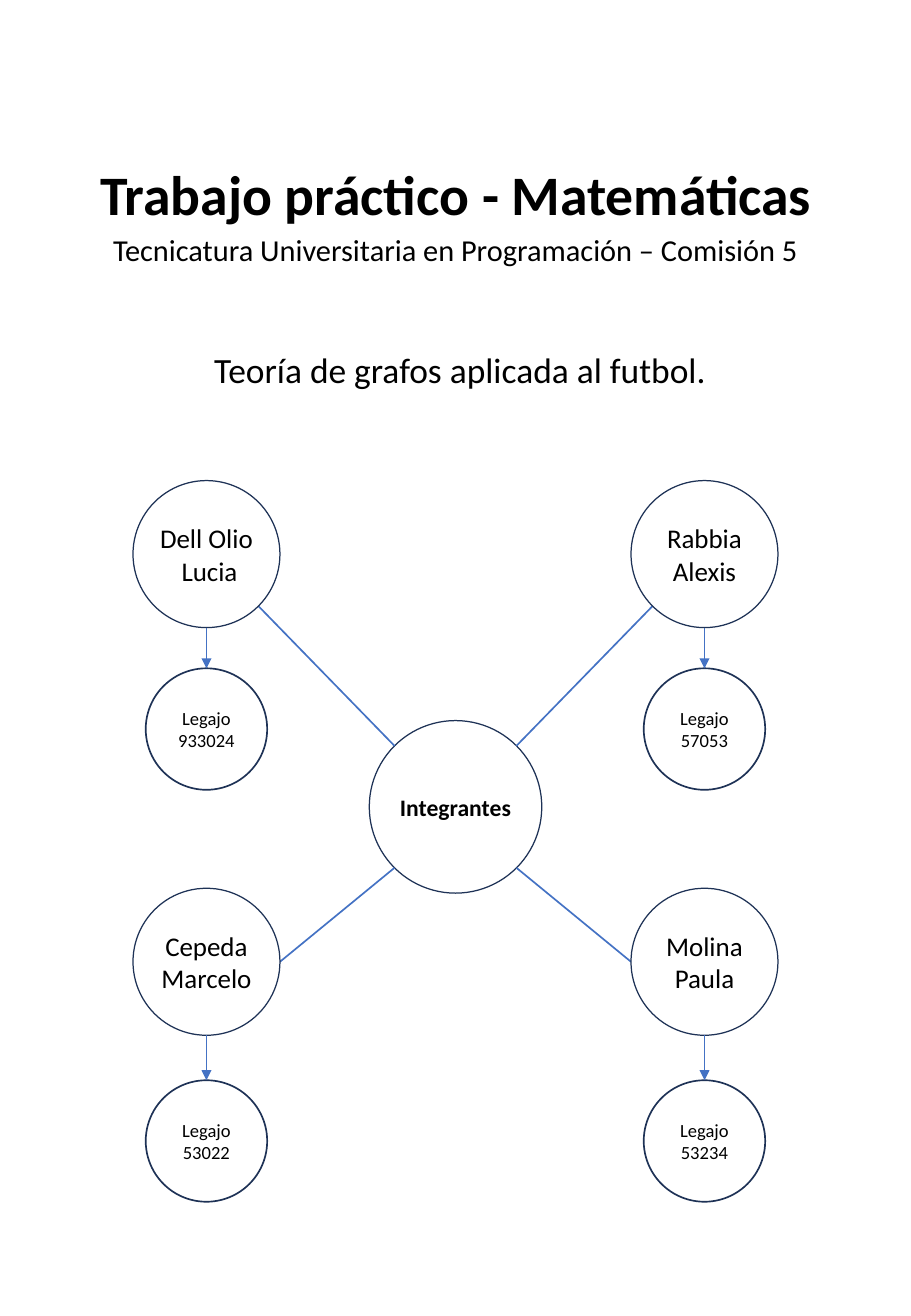
import math
import pptx
import pptx.util
import pptx.dml.color
import pptx.enum.shapes
import pptx.enum.text
import pptx.oxml.ns
from lxml import etree

Inches = pptx.util.Inches
Pt = pptx.util.Pt
RGBColor = pptx.dml.color.RGBColor
ANCHOR = pptx.enum.text.MSO_ANCHOR
qn = pptx.oxml.ns.qn

BLACK = RGBColor(0x00, 0x00, 0x00)
WHITE = RGBColor(0xFF, 0xFF, 0xFF)
NAVY = RGBColor(0x1E, 0x32, 0x56)
BLUE = RGBColor(0x44, 0x72, 0xC4)
FONT = "Calibri"

TITLE = "Trabajo práctico - Matemáticas"
COURSE = "Tecnicatura Universitaria en Programación – Comisión 5"
TOPIC = " Teoría de grafos aplicada al futbol."
HUB = "Integrantes"
MEMBERS = [
    (("Dell Olio", " Lucia"), "933024", "left", "upper"),
    (("Rabbia", "Alexis"), "57053", "right", "upper"),
    (("Cepeda", "Marcelo"), "53022", "left", "lower"),
    (("Molina", "Paula"), "53234", "right", "lower"),
]

HUB_X, HUB_Y, HUB_R = 3.75, 6.64, 0.71
MEMBER_R, RECORD_R = 0.605, 0.5
SIDES = {"left": -1, "right": 1}
SIDE_GAP = 2.05
ROWS = {"upper": (4.56, 6.0), "lower": (7.915, 9.39)}
DIAGONAL = math.sqrt(0.5)

deck = pptx.Presentation()
deck.slide_width, deck.slide_height = Inches(7.5), Inches(10.83)
cover = deck.slides.add_slide(deck.slide_layouts[6])


def write(frame, lines, size, bold=False, anchor=ANCHOR.MIDDLE):
    frame.word_wrap = True
    frame.vertical_anchor = anchor
    paragraph = frame.paragraphs[0]
    paragraph.alignment = pptx.enum.text.PP_ALIGN.CENTER
    for number, line in enumerate(lines):
        if number:
            paragraph.add_line_break()
        run = paragraph.add_run()
        run.text = line
        run.font.name, run.font.size, run.font.bold = FONT, Pt(size), bold
        run.font.color.rgb = BLACK
    return paragraph


def heading(text, box, size, bold=False, anchor=ANCHOR.TOP):
    area = cover.shapes.add_textbox(*map(Inches, box))
    return write(area.text_frame, [text], size, bold, anchor)


def circle(x, y, radius, lines, size, weight, inset, bold=False):
    node = cover.shapes.add_shape(
        pptx.enum.shapes.MSO_SHAPE.OVAL,
        *map(Inches, (x - radius, y - radius, 2 * radius, 2 * radius)))
    node.shadow.inherit = False
    node.fill.solid()
    node.fill.fore_color.rgb = WHITE
    node.line.color.rgb = NAVY
    node.line.width = Pt(weight)
    frame = node.text_frame
    frame.margin_left = frame.margin_right = Inches(inset)
    frame.margin_top = frame.margin_bottom = Inches(min(inset, 0.05))
    write(frame, lines, size, bold)
    return node


def edge(start, end, weight):
    link = cover.shapes.add_connector(
        pptx.enum.shapes.MSO_CONNECTOR.STRAIGHT, *map(Inches, start + end))
    link.line.color.rgb = BLUE
    link.line.width = Pt(weight)
    etree.SubElement(link._element.spPr, qn("a:effectLst"))
    return link


title = heading(TITLE, (0.52, 0.58, 6.47, 2.09), 33, True, ANCHOR.MIDDLE)
title.line_spacing = 0.9
topic = heading(TOPIC, (0.52, 2.88, 6.47, 0.41), 21)
topic.line_spacing = 0.8
topic.space_before = Pt(7.5)
heading(COURSE, (0.8, 1.85, 5.9, 0.4), 18)

circle(HUB_X, HUB_Y, HUB_R, [HUB], 14, 0.75, 0.04, True)

for name, record, side, row in MEMBERS:
    direction = SIDES[side]
    x = HUB_X + direction * SIDE_GAP
    member_y, record_y = ROWS[row]
    hub_reach, member_reach = HUB_R * DIAGONAL, MEMBER_R * DIAGONAL
    if row == "upper":
        hub_end = (HUB_X + direction * hub_reach, HUB_Y - hub_reach)
        member_end = (x - direction * member_reach, member_y + member_reach)
    else:
        hub_end = (HUB_X + direction * hub_reach, HUB_Y + hub_reach)
        member_end = (x - direction * MEMBER_R, member_y)
    edge(hub_end, member_end, 1)
    circle(x, member_y, MEMBER_R, name, 16, 0.75, 0.04)
    record_node = circle(x, record_y, RECORD_R, ["Legajo", record], 11, 1, 0.1)
    arrow = edge((x, member_y + MEMBER_R), (x, record_y - RECORD_R), 0.5)
    arrow.end_connect(record_node, 0)
    etree.SubElement(arrow.line._get_or_add_ln(), qn("a:tailEnd"), type="triangle")

deck.save("out.pptx")
